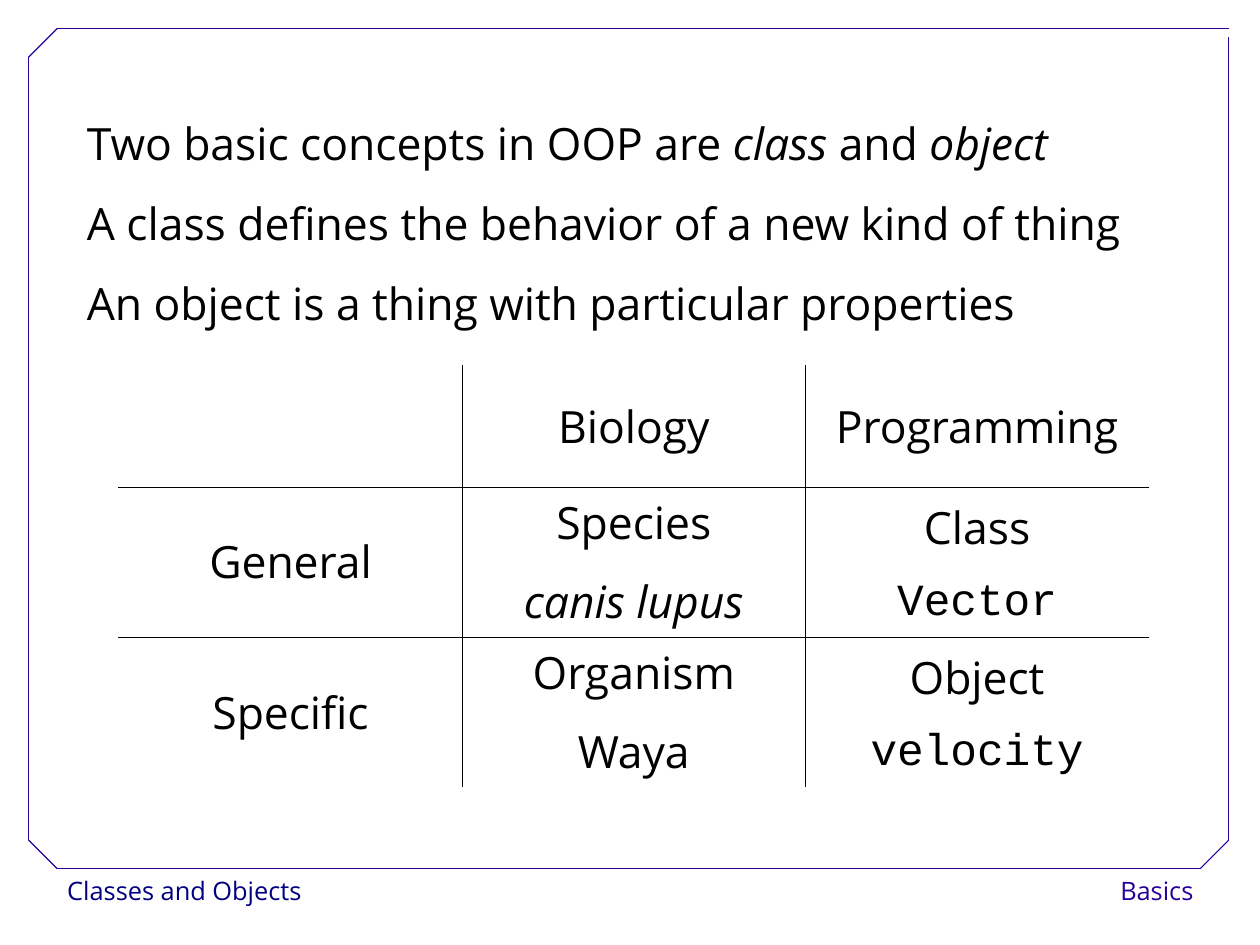
"""Build the slide that compares classes and objects in biology and programming."""
import dataclasses
import typing

import pptx
import pptx.dml.color
import pptx.enum.shapes
import pptx.enum.text
import pptx.oxml
import pptx.oxml.ns
import pptx.util

ALIGN = pptx.enum.text.PP_ALIGN
ANCHOR = pptx.enum.text.MSO_ANCHOR


@dataclasses.dataclass(frozen=True)
class Theme:
    ink: str = "000000"
    paper: str = "FFFFFF"
    frame: str = "280099"
    navy: str = "000080"
    sans: str = "Open Sans"
    code: str = "Courier New"
    body_size: float = 28
    footer_size: float = 16
    frame_width: float = 0.75
    rule_width: float = 0.45


THEME = Theme()


@dataclasses.dataclass(frozen=True)
class Span:
    text: str
    italic: bool = False
    font: str = THEME.sans
    size: float = THEME.body_size
    color: str = THEME.ink


@dataclasses.dataclass(frozen=True)
class Area:
    column: float
    row: float
    columns: float
    rows: float


@dataclasses.dataclass(frozen=True)
class Footer:
    area: Area
    span: Span
    align: ALIGN


@dataclasses.dataclass(frozen=True)
class FrameLine:
    start: tuple[float, float]
    end: tuple[float, float]


Line = tuple[Span, ...]

PAGE_SIZE = {"slide_width": pptx.util.Cm(28), "slide_height": pptx.util.Cm(21)}
BODY_AREA = Area(2.64, 2.92, 37.8, 8.8)
TABLE_AREA = Area(4.16, 12.8, 36.04, 14.76)
HEADER_ROWS = 4.24

FOOTERS = (
    Footer(Area(1.96, 30.4, 9.2, 1.6),
           Span("Classes and Objects", size=THEME.footer_size, color=THEME.navy), ALIGN.LEFT),
    Footer(Area(36.56, 30.4, 5.6, 1.6),
           Span("Basics", size=THEME.footer_size, color=THEME.frame), ALIGN.RIGHT),
)

FRAME = (
    FrameLine((2, 30.4), (42, 30.4)),
    FrameLine((1, 29.4), (1, 2)),
    FrameLine((2, 1), (43, 1)),
    FrameLine((43, 29.4), (43, 1.3)),
    FrameLine((1, 2), (2, 1)),
    FrameLine((42, 30.4), (43, 29.4)),
    FrameLine((1, 29.4), (2, 30.4)),
)

CONCEPTS: tuple[Line, ...] = (
    (Span("Two basic concepts in OOP are "), Span("class", italic=True),
     Span(" and "), Span("object", italic=True)),
    (Span("A class defines the behavior of a new kind of thing"),),
    (Span("An object is a thing with particular properties"),),
)

COMPARISON: tuple[tuple[tuple[Span, ...], ...], ...] = (
    ((), (Span("Biology"),), (Span("Programming"),)),
    ((Span("General"),),
     (Span("Species"), Span("canis lupus", italic=True)),
     (Span("Class"), Span("Vector", font=THEME.code))),
    ((Span("Specific"),),
     (Span("Organism"), Span("Waya")),
     (Span("Object"), Span("velocity", font=THEME.code))),
)

FOOTER_FORMAT = {"line_spacing": 1.02}
BODY_FORMAT = {"alignment": ALIGN.LEFT, "line_spacing": 1.5,
               "space_before": pptx.util.Pt(0), "space_after": pptx.util.Pt(0)}
CELL_FORMAT = {"alignment": ALIGN.CENTER, "line_spacing": 0.93,
               "space_after": pptx.util.Pt(14.3)}


def grid(count: float) -> pptx.util.Emu:
    """Turn a number of quarter-inch grid steps into a length."""
    return pptx.util.Inches(count / 4)


def place(area: Area) -> tuple[pptx.util.Emu, ...]:
    """Give left, top, width and height of an area."""
    return tuple(grid(value) for value in dataclasses.astuple(area))


def color(code: str) -> pptx.dml.color.RGBColor:
    """Read a colour code."""
    return pptx.dml.color.RGBColor.from_string(code)


def apply(target: typing.Any, values: dict[str, typing.Any]) -> None:
    """Set every attribute named in the format values."""
    for name, value in values.items():
        setattr(target, name, value)


def write(text_frame: typing.Any, lines: typing.Sequence[Line],
          para_format: dict[str, typing.Any], listed: bool = False) -> None:
    """Fill a text frame with one paragraph a line."""
    for index, line in enumerate(lines):
        para = text_frame.add_paragraph() if index else text_frame.paragraphs[0]
        apply(para, para_format)
        if listed:
            properties = para._p.get_or_add_pPr()
            properties.set("marL", str(grid(2)))
            properties.set("indent", str(-grid(2)))
            properties.append(pptx.oxml.parse_xml(
                f'<a:buNone {pptx.oxml.ns.nsdecls("a")}/>'))
        for span in line:
            run = para.add_run()
            run.text = span.text
            apply(run.font, {"name": span.font, "size": pptx.util.Pt(span.size),
                             "italic": span.italic})
            run.font.color.rgb = color(span.color)


def draw_footer(page: typing.Any, footer: Footer) -> None:
    """Draw one footer label."""
    box = page.shapes.add_textbox(*place(footer.area))
    box.fill.solid()
    box.fill.fore_color.rgb = color(THEME.paper)
    box.text_frame.word_wrap = False
    write(box.text_frame, [(footer.span,)], FOOTER_FORMAT | {"alignment": footer.align})


def draw_frame_line(page: typing.Any, frame_line: FrameLine) -> None:
    """Draw one line of the frame."""
    ends = [grid(value) for value in frame_line.start + frame_line.end]
    line = page.shapes.add_connector(pptx.enum.shapes.MSO_CONNECTOR.STRAIGHT, *ends)
    line.line.color.rgb = color(THEME.frame)
    line.line.width = pptx.util.Pt(THEME.frame_width)
    line._element.spPr.append(pptx.oxml.parse_xml(
        f'<a:effectLst {pptx.oxml.ns.nsdecls("a")}/>'))


def rule_cell(cell: typing.Any, sides: str) -> None:
    """Add borders on the given sides of a cell."""
    properties = cell._tc.get_or_add_tcPr()
    for index, side in enumerate(sides):
        properties.insert(index, pptx.oxml.parse_xml(
            f'<a:ln{side} {pptx.oxml.ns.nsdecls("a")} w="{pptx.util.Pt(THEME.rule_width)}">'
            f'<a:solidFill><a:srgbClr val="{THEME.ink}"/></a:solidFill></a:ln{side}>'))


def draw_comparison(page: typing.Any) -> None:
    """Draw the table with rules between its cells only."""
    last = len(COMPARISON) - 1
    table = page.shapes.add_table(last + 1, last + 1, *place(TABLE_AREA)).table
    apply(table, {"first_row": False, "horz_banding": False})
    for index in range(last + 1):
        table.columns[index].width = grid(TABLE_AREA.columns / (last + 1))
        table.rows[index].height = grid(
            (TABLE_AREA.rows - HEADER_ROWS) / last if index else HEADER_ROWS)
    for row, entries in enumerate(COMPARISON):
        for column, spans in enumerate(entries):
            cell = table.cell(row, column)
            cell.fill.background()
            cell.vertical_anchor = ANCHOR.MIDDLE
            inner = {"L": column > 0, "R": column < last, "T": row > 0, "B": row < last}
            rule_cell(cell, "".join(side for side, ruled in inner.items() if ruled))
            write(cell.text_frame, [(span,) for span in spans], CELL_FORMAT)


def main() -> None:
    """Build and save the deck."""
    deck = pptx.Presentation()
    apply(deck, PAGE_SIZE)
    page = deck.slides.add_slide(deck.slide_layouts[1])
    title, body = page.placeholders
    title._element.getparent().remove(title._element)
    apply(body, dict(zip(("left", "top", "width", "height"), place(BODY_AREA))))
    apply(body.text_frame, {"word_wrap": True, "vertical_anchor": ANCHOR.TOP,
                            "auto_size": pptx.enum.text.MSO_AUTO_SIZE.NONE})
    write(body.text_frame, CONCEPTS, BODY_FORMAT, listed=True)
    for footer in FOOTERS:
        draw_footer(page, footer)
    for frame_line in FRAME:
        draw_frame_line(page, frame_line)
    draw_comparison(page)
    deck.save("out.pptx")


if __name__ == "__main__":
    main()
